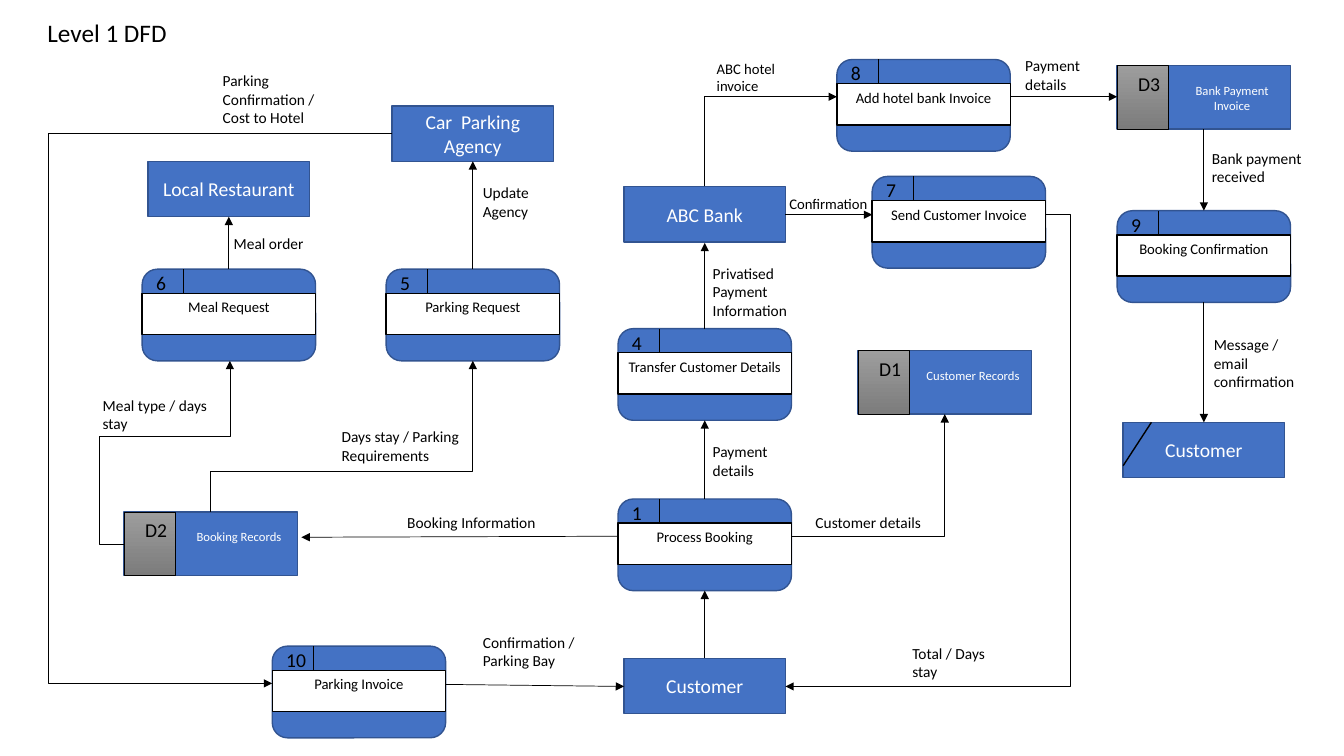
from typing import NamedTuple

from lxml import etree
from pptx import Presentation
from pptx import util as u
from pptx.dml.color import RGBColor
from pptx.enum import shapes, text
from pptx.oxml import ns

COLOURS = {"blue": "4472C4", "edge": "325491", "white": "FFFFFF", "black": "000000",
           "grey_top": "9D9D9D", "grey_bottom": "7C7C7C"}
FONT = "Calibri"
NODE_WIDTH, PROCESS_HEIGHT, STORE_HEIGHT = 1.72, 0.91, 0.63
ENTITY_WIDTH, ENTITY_HEIGHT = 1.6, 0.55
RECTANGLE = shapes.MSO_SHAPE.RECTANGLE


class Node(NamedTuple):
    left: float
    top: float
    name: str
    code: str = ""


class Label(NamedTuple):
    left: float
    top: float
    width: float
    height: float
    words: str
    size: float = 11


class Arrow(NamedTuple):
    x1: float
    y1: float
    x2: float
    y2: float


class Elbow(NamedTuple):
    left: float
    top: float
    width: float
    height: float
    rotation: int
    flips: str
    preset: str
    adjustments: tuple[float, ...] = ()


ENTITIES = [
    Node(6.19, 1.85, "ABC Bank"), Node(1.47, 1.6, "Local Restaurant"),
    Node(3.89, 1.05, "Car  Parking Agency"), Node(6.19, 6.53, "Customer"),
    Node(11.14, 4.19, "Customer"),
]
STORES = [
    Node(8.51, 3.48, "Customer Records", "D1"), Node(1.23, 5.08, "Booking Records", "D2"),
    Node(11.08, 0.65, "Bank Payment Invoice", "D3"),
]
PROCESSES = [
    Node(6.13, 4.95, "Process Booking", "1"), Node(6.13, 3.26, "Transfer Customer Details", "4"),
    Node(3.83, 2.67, "Parking Request", "5"), Node(1.41, 2.67, "Meal Request", "6"),
    Node(8.65, 1.75, "Send Customer Invoice", "7"), Node(8.3, 0.59, "Add hotel bank Invoice", "8"),
    Node(11.08, 2.09, "Booking Confirmation", "9"), Node(2.7, 6.41, "Parking Invoice", "10"),
]
ARROWS = [
    Arrow(6.99, 6.53, 6.99, 5.86), Arrow(6.99, 4.95, 6.99, 4.17), Arrow(6.99, 3.26, 6.99, 2.41),
    Arrow(2.27, 2.67, 2.27, 2.15), Arrow(4.69, 2.67, 4.69, 1.6), Arrow(10.03, 0.96, 11.08, 0.96),
    Arrow(7.79, 2.13, 8.65, 2.13), Arrow(11.94, 1.28, 11.94, 2.09), Arrow(11.94, 3, 11.94, 4.19),
    Arrow(4.42, 6.79, 6.19, 6.81), Arrow(6.13, 5.32, 2.99, 5.33),
]
ELBOWS = [
    Elbow(1.23, 3.58, 1.05, 1.82, 180, "H", "bentConnector4", (-0.238, 0.587)),
    Elbow(2.64, 3.03, 1.5, 2.6, 90, "HV", "bentConnector3", (0.267,)),
    Elbow(7.79, 2.13, 2.58, 4.68, 0, "H", "bentConnector3", (-0.097,)),
    Elbow(7.2, 0.75, 0.89, 1.31, 90, "HV", "bentConnector2"),
    Elbow(2.7, 1.32, 1.19, 5.46, 180, "V", "bentConnector3", (2.862,)),
    Elbow(7.85, 4.11, 1.52, 1.21, 0, "V", "bentConnector2"),
]
LABELS = [
    Label(7.99, 5.04, 1.26, 0.29, "Customer details"),
    Label(3.94, 5.04, 1.49, 0.29, "Booking Information"),
    Label(3.29, 4.19, 1.8, 0.47, "Days stay / Parking Requirements"),
    Label(4.69, 1.77, 1.12, 0.47, "Update Agency"),
    Label(2.11, 0.66, 1.12, 0.66, "Parking Confirmation / Cost to Hotel"),
    Label(4.69, 6.23, 1.12, 0.47, "Confirmation / Parking Bay"),
    Label(7.01, 0.54, 1.12, 0.45, "ABC hotel invoice", 10.5),
    Label(8.95, 6.34, 1.12, 0.47, "Total / Days stay"),
    Label(11.94, 3.28, 1.12, 0.66, "Message / email confirmation"),
    Label(11.92, 1.43, 1.12, 0.47, "Bank payment received"),
    Label(10.07, 0.51, 1.12, 0.47, "Payment details"),
    Label(6.97, 2.57, 1.12, 0.66, "Privatised Payment Information"),
    Label(6.97, 4.34, 1.12, 0.47, "Payment details"),
    Label(7.73, 1.88, 1.12, 0.29, "Confirmation", 10.5),
    Label(0.92, 3.88, 1.5, 0.47, "Meal type / days stay"),
    Label(2.22, 2.27, 1.8, 0.29, "Meal order"),
]


def colour(name: str) -> RGBColor:
    return RGBColor.from_string(COLOURS[name])


def write(shape, words: str, size: float, ink: str = "black", centred: bool = False,
          anchor=text.MSO_ANCHOR.TOP, wrap: bool = True) -> None:
    frame = shape.text_frame
    frame.text = words
    frame.word_wrap = wrap
    frame.vertical_anchor = anchor
    paragraph = frame.paragraphs[0]
    paragraph.alignment = text.PP_ALIGN.CENTER if centred else text.PP_ALIGN.LEFT
    font = paragraph.runs[0].font
    font.name, font.size = FONT, u.Pt(size)
    font.color.rgb = colour(ink)


def add_label(parent, label: Label, **style) -> None:
    box = parent.add_textbox(*map(u.Inches, label[:4]))
    write(box, label.words, label.size, **style)


def add_box(parent, left: float, top: float, width: float, height: float, kind=RECTANGLE,
            fill: str = "blue", edge: str = "edge", weight: float = 1):
    shape = parent.add_shape(kind, *map(u.Inches, (left, top, width, height)))
    shape.shadow.inherit = False
    shape.fill.solid()
    shape.fill.fore_color.rgb = colour(fill)
    shape.line.color.rgb = colour(edge)
    shape.line.width = u.Pt(weight)
    return shape


def add_line(parent, ends: Arrow, weight: float = 0.5, arrow: bool = False,
             kind=shapes.MSO_CONNECTOR.STRAIGHT):
    line = parent.add_connector(kind, *map(u.Inches, ends))
    line.line.color.rgb = colour("black")
    line.line.width = u.Pt(weight)
    properties = line._element.spPr
    if arrow:
        etree.SubElement(properties.find(ns.qn("a:ln")), ns.qn("a:tailEnd"), type="triangle")
    etree.SubElement(properties, ns.qn("a:effectLst"))
    return line


def add_elbow(parent, elbow: Elbow) -> None:
    ends = Arrow(elbow.left, elbow.top, elbow.left + elbow.width, elbow.top + elbow.height)
    properties = add_line(parent, ends, arrow=True, kind=shapes.MSO_CONNECTOR.ELBOW)._element.spPr
    frame = properties.find(ns.qn("a:xfrm"))
    frame.set("rot", str(elbow.rotation * 60000))
    for axis in elbow.flips:
        frame.set(f"flip{axis}", "1")
    geometry = properties.find(ns.qn("a:prstGeom"))
    geometry.set("prst", elbow.preset)
    guides = geometry.find(ns.qn("a:avLst"))
    for number, value in enumerate(elbow.adjustments, 1):
        etree.SubElement(guides, ns.qn("a:gd"), name=f"adj{number}",
                         fmla=f"val {round(value * 100000)}")


def add_entity(parent, node: Node) -> None:
    box = add_box(parent, node.left, node.top, ENTITY_WIDTH, ENTITY_HEIGHT)
    write(box, node.name, 14, "white", True, text.MSO_ANCHOR.MIDDLE)


def add_store(parent, node: Node) -> None:
    group = parent.add_group_shape().shapes
    left, top = node.left, node.top
    add_box(group, left, top, NODE_WIDTH, STORE_HEIGHT)
    cell = add_box(group, left, top, 0.51, STORE_HEIGHT, edge="black", weight=0.5)
    cell.fill.gradient()
    cell.fill.gradient_angle = 270
    for stop, name in zip(cell.fill.gradient_stops, ("grey_top", "grey_bottom")):
        stop.color.rgb = colour(name)
    add_label(group, Label(left + 0.11, top + 0.01, 0.42, 0.34, node.code, 14), wrap=False)
    add_label(group, Label(left + 0.51, top + 0.12, 1.26, 0.25, node.name, 9),
              ink="white", centred=True)


def add_process(parent, node: Node) -> None:
    group = parent.add_group_shape().shapes
    left, top = node.left, node.top
    add_box(group, left, top, NODE_WIDTH, PROCESS_HEIGHT, shapes.MSO_SHAPE.ROUNDED_RECTANGLE)
    add_line(group, Arrow(left + 0.41, top + 0.24, left + 0.41, top))
    band = add_box(group, left, top + 0.24, NODE_WIDTH, 0.41, fill="white", edge="black")
    write(band, node.name, 10.5, centred=True)
    width = 0.2 + 0.1 * len(node.code)
    add_label(group, Label(left + 0.04, top - 0.03, width, 0.34, node.code, 14), wrap=False)


def main() -> None:
    """Build the level 1 data flow diagram of the hotel booking system."""
    presentation = Presentation()
    presentation.slide_width, presentation.slide_height = u.Inches(13.33), u.Inches(7.5)
    slide = presentation.slides.add_slide(presentation.slide_layouts[5])
    title = slide.shapes.title
    title.left, title.top, title.width, title.height = map(u.Inches, (0.37, 0.12, 1.4, 0.4))
    write(title, "Level 1 DFD", 18, wrap=False)
    for nodes, draw in ((ENTITIES, add_entity), (STORES, add_store), (PROCESSES, add_process)):
        for node in nodes:
            draw(slide.shapes, node)
    add_line(slide.shapes, Arrow(11.42, 4.19, 11.14, 4.62), weight=1)
    for arrow in ARROWS:
        add_line(slide.shapes, arrow, arrow=True)
    for elbow in ELBOWS:
        add_elbow(slide.shapes, elbow)
    for label in LABELS:
        add_label(slide.shapes, label)
    presentation.save("out.pptx")


if __name__ == "__main__":
    main()
